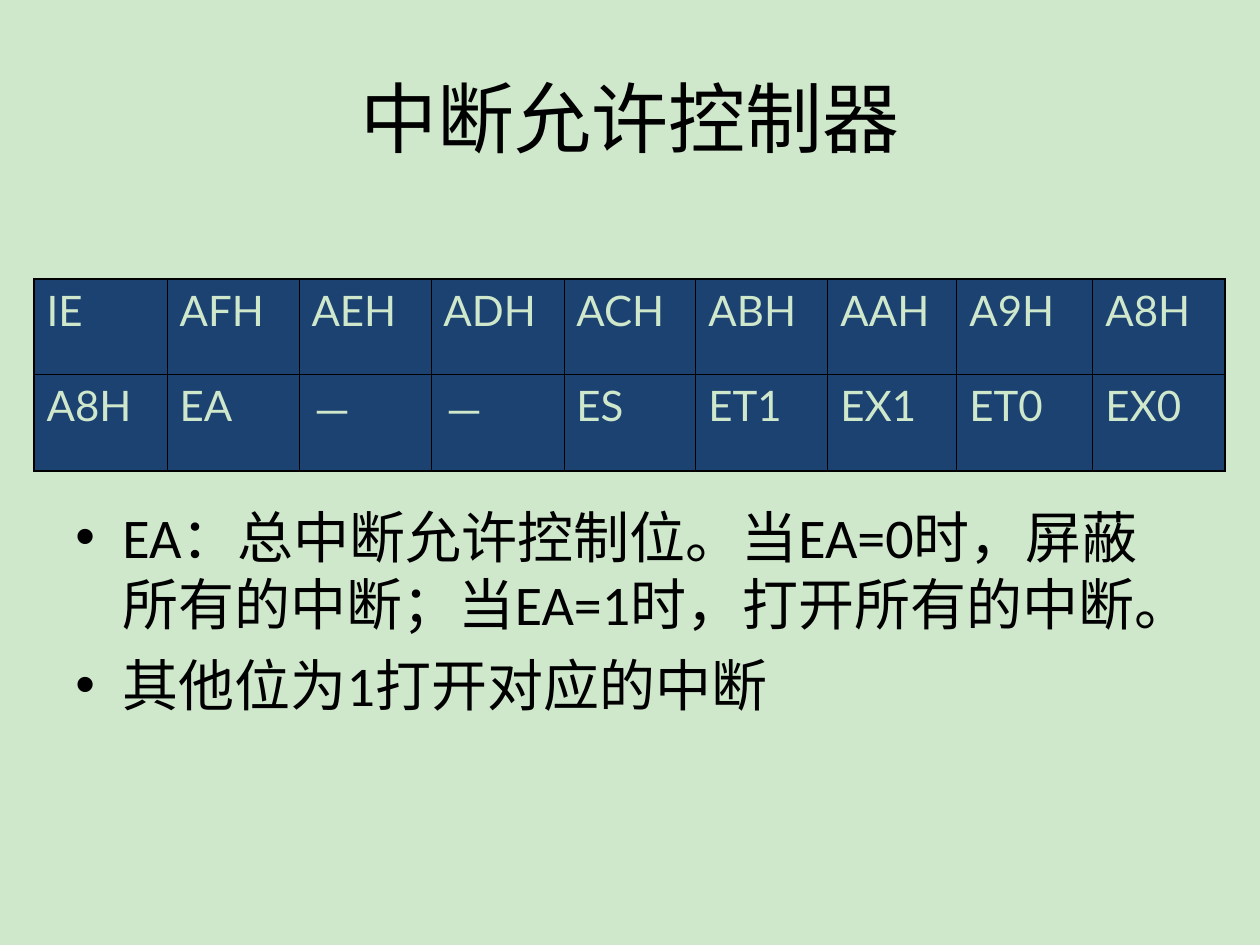
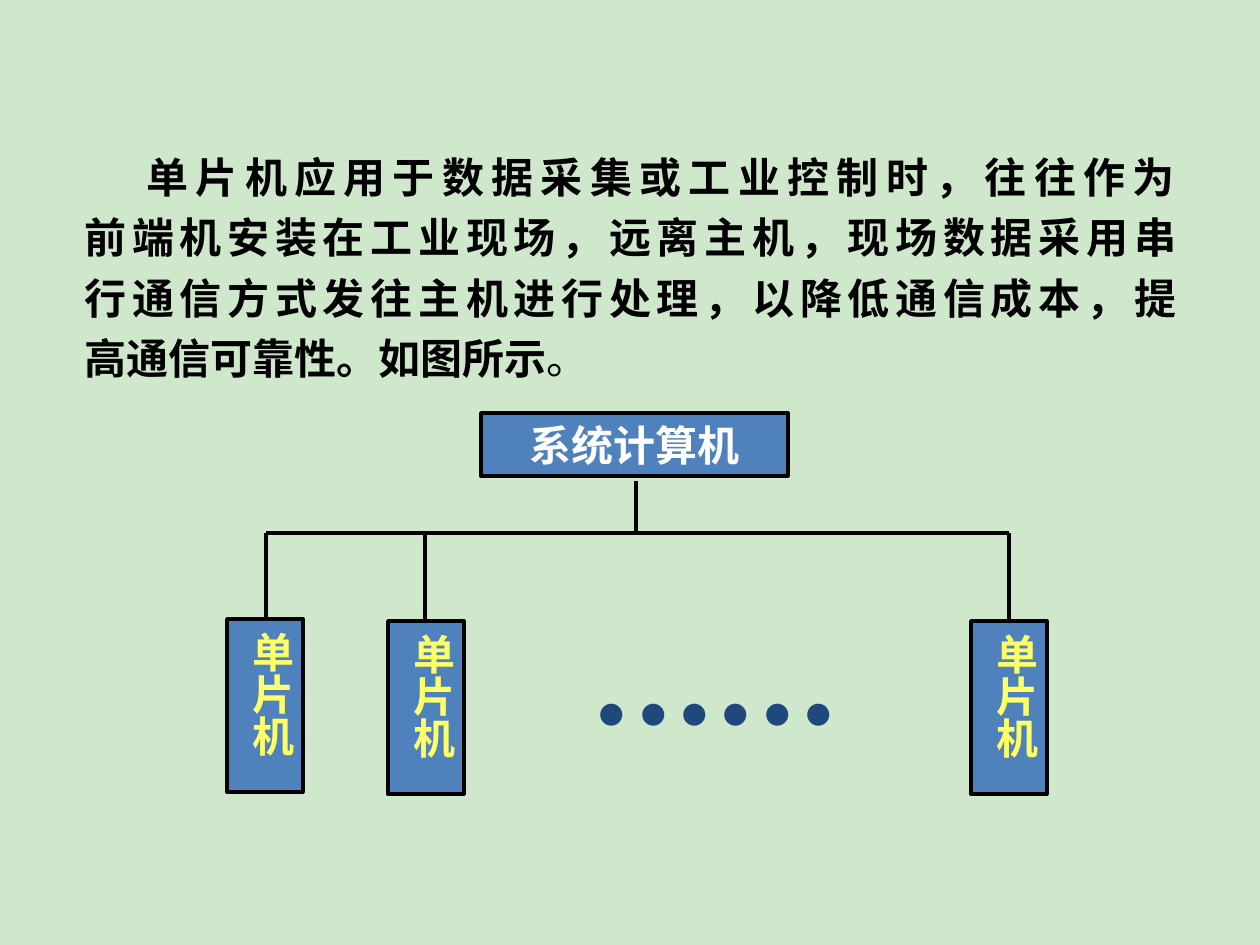
from lxml import etree
from pptx import Presentation
from pptx.dml.color import RGBColor
from pptx.enum.shapes import MSO_CONNECTOR, MSO_SHAPE
from pptx.enum.text import MSO_ANCHOR, PP_ALIGN
from pptx.oxml.ns import qn
from pptx.util import Emu, Pt

EMU_PER_PX = 914400 / 126
TOP, MIDDLE = MSO_ANCHOR.TOP, MSO_ANCHOR.MIDDLE
LEFT, CENTER, JUSTIFY = PP_ALIGN.LEFT, PP_ALIGN.CENTER, PP_ALIGN.JUSTIFY
RECTANGLE, STRAIGHT = MSO_SHAPE.RECTANGLE, MSO_CONNECTOR.STRAIGHT
LATIN, CJK, SERIF, TABLE_FONT = "Calibri", "Noto Sans CJK SC", "Times New Roman", "Lato"
COLORS = {
    "background": "CFE8CC",
    "ink": "000000",
    "cell": "1C4271",
    "box": "4F81BD",
    "host_text": "FFFFFF",
    "mcu_text": "FFFF66",
    "dots": "1F497D",
}

# Slide content
REGISTER_ROWS = [
    ["IE", "AFH", "AEH", "ADH", "ACH", "ABH", "AAH", "A9H", "A8H"],
    ["A8H", "EA", "－", "－", "ES", "ET1", "EX1", "ET0", "EX0"],
]
REGISTER_WIDTHS = [133, 132, 132, 133, 132, 132, 129, 136, 132]
REGISTER_HEIGHTS = [95, 97]
BIT_NOTES = [
    "EA：总中断允许控制位。当EA=0时，屏蔽所有的中断；当EA=1时，打开所有的中断。",
    "其他位为1打开对应的中断",
]
INTRO_LINES = [
    "单片机应用于数据采集或工业控制时，往往作为",
    "前端机安装在工业现场，远离主机，现场数据采用串",
    "行通信方式发往主机进行处理，以降低通信成本，提",
    "高通信可靠性。如图所示",
]
# Left and top of each microcontroller, and the x of its line to the bus
MCUS = [(227, 619, 266), (388, 621, 425), (971, 621, 1009)]
BUS_Y = 533


def px(length):
    return Emu(round(length * EMU_PER_PX))


def color(key):
    return RGBColor.from_string(COLORS[key])


def add_run(paragraph, text, size, font, ink="ink", bold=False, spacing=0):
    run = paragraph.add_run()
    run.text = text
    run.font.size = Pt(size)
    run.font.name = font
    run.font.bold = bold
    run.font.color.rgb = color(ink)
    properties = run.font._element
    if font == CJK:
        etree.SubElement(properties, qn("a:ea"), typeface=font)
    if spacing:
        properties.set("spc", str(spacing))


def set_indent(paragraph, margin, first_line):
    properties = paragraph._p.get_or_add_pPr()
    properties.set("marL", str(px(margin)))
    properties.set("indent", str(px(first_line)))
    return properties


def add_text_box(slide, left, top, width, height, align=LEFT, anchor=TOP):
    frame = slide.shapes.add_textbox(px(left), px(top), px(width), px(height)).text_frame
    frame.word_wrap = True
    frame.vertical_anchor = anchor
    frame.paragraphs[0].alignment = align
    return frame


def add_bullets(slide, left, top, width, height, notes):
    frame = add_text_box(slide, left, top, width, height)
    for index, note in enumerate(notes):
        paragraph = frame.add_paragraph() if index else frame.paragraphs[0]
        properties = set_indent(paragraph, 47, -47)
        etree.SubElement(properties, qn("a:buFont"), typeface="Arial")
        etree.SubElement(properties, qn("a:buChar"), char="•")
        if index:
            paragraph.space_before = Pt(8)
        add_run(paragraph, note, 32, LATIN)


def set_cell_borders(cell, widths):
    properties = cell._tc.get_or_add_tcPr()
    for position, (side, width) in enumerate(widths.items()):
        line = etree.Element(qn(f"a:{side}"), w=str(Pt(width)))
        fill = etree.SubElement(line, qn("a:solidFill"))
        etree.SubElement(fill, qn("a:srgbClr"), val=COLORS["ink"])
        properties.insert(position, line)


def add_register_table(slide, left, top):
    columns, rows = len(REGISTER_WIDTHS), len(REGISTER_HEIGHTS)
    table = slide.shapes.add_table(
        rows, columns, px(left), px(top),
        px(sum(REGISTER_WIDTHS)), px(sum(REGISTER_HEIGHTS))).table
    for column, width in zip(table.columns, REGISTER_WIDTHS):
        column.width = px(width)
    for row, height in zip(table.rows, REGISTER_HEIGHTS):
        row.height = px(height)
    outer, inner = 1.08, 0.45
    for r, labels in enumerate(REGISTER_ROWS):
        for c, label in enumerate(labels):
            cell = table.cell(r, c)
            cell.fill.solid()
            cell.fill.fore_color.rgb = color("cell")
            set_cell_borders(cell, {
                "lnL": outer if c == 0 else inner,
                "lnR": outer if c == columns - 1 else inner,
                "lnT": outer if r == 0 else inner,
                "lnB": outer if r == rows - 1 else inner,
            })
            add_run(cell.text_frame.paragraphs[0], label, 24, TABLE_FONT, "background")


def add_node(slide, left, top, width, height, label, font, ink, vertical=False):
    node = slide.shapes.add_shape(RECTANGLE, px(left), px(top), px(width), px(height))
    node.shadow.inherit = False
    node.fill.solid()
    node.fill.fore_color.rgb = color("box")
    node.line.color.rgb = color("ink")
    node.line.width = Pt(2)
    frame = node.text_frame
    frame.word_wrap = True
    frame.vertical_anchor = TOP
    if vertical:
        frame.margin_left = frame.margin_right = px(6)
        frame.margin_top = frame.margin_bottom = px(13)
        node.element.txBody.bodyPr.set("vert", "eaVert")
    frame.paragraphs[0].alignment = CENTER
    add_run(frame.paragraphs[0], label, 24, font, ink, bold=True)


def add_line(slide, x1, y1, x2, y2):
    line = slide.shapes.add_connector(STRAIGHT, px(x1), px(y1), px(x2), px(y2))
    line.line.color.rgb = color("ink")
    line.line.width = Pt(2)
    etree.SubElement(line.element.spPr, qn("a:effectLst"))


def add_slide(deck):
    slide = deck.slides.add_slide(deck.slide_layouts[6])
    slide.background.fill.solid()
    slide.background.fill.fore_color.rgb = color("background")
    return slide


def build_interrupt_slide(deck):
    slide = add_slide(deck)
    title = add_text_box(slide, 63, 38, 1134, 158, CENTER, MIDDLE)
    add_run(title.paragraphs[0], "中断允许控制器", 44, LATIN)
    add_bullets(slide, 63, 496, 1134, 252, BIT_NOTES)
    add_register_table(slide, 34, 279)


def build_network_slide(deck):
    slide = add_slide(deck)

    # Host, bus and microcontrollers
    add_node(slide, 481, 413, 307, 63, "系统计算机", CJK, "host_text")
    add_line(slide, 636, 481, 636, BUS_Y)
    add_line(slide, MCUS[0][2], BUS_Y, MCUS[-1][2], BUS_Y)
    for left, top, drop_x in MCUS:
        add_line(slide, drop_x, BUS_Y, drop_x, top)
        add_node(slide, left, top, 76, 173, "单片机", SERIF, "mcu_text", vertical=True)

    # Further microcontrollers; the last dot carries no trailing spacing
    dots = add_text_box(slide, 505, 694, 421, 43, CENTER).paragraphs[0]
    add_run(dots, "●" * 5, 14, CJK, "dots", bold=True, spacing=965)
    add_run(dots, "●", 14, CJK, "dots", bold=True)

    # Introduction
    intro = add_text_box(slide, 24, 135, 1171, 255, JUSTIFY).paragraphs[0]
    set_indent(intro, 48, 62)
    intro.line_spacing = 1.2
    for index, line in enumerate(INTRO_LINES):
        if index:
            intro.add_line_break()
        add_run(intro, line, 24, CJK, bold=True)
    add_run(intro, "。", 24, CJK)


def main():
    deck = Presentation()
    deck.slide_width, deck.slide_height = px(1260), px(945)
    build_interrupt_slide(deck)
    build_network_slide(deck)
    deck.save("out.pptx")


if __name__ == "__main__":
    main()
